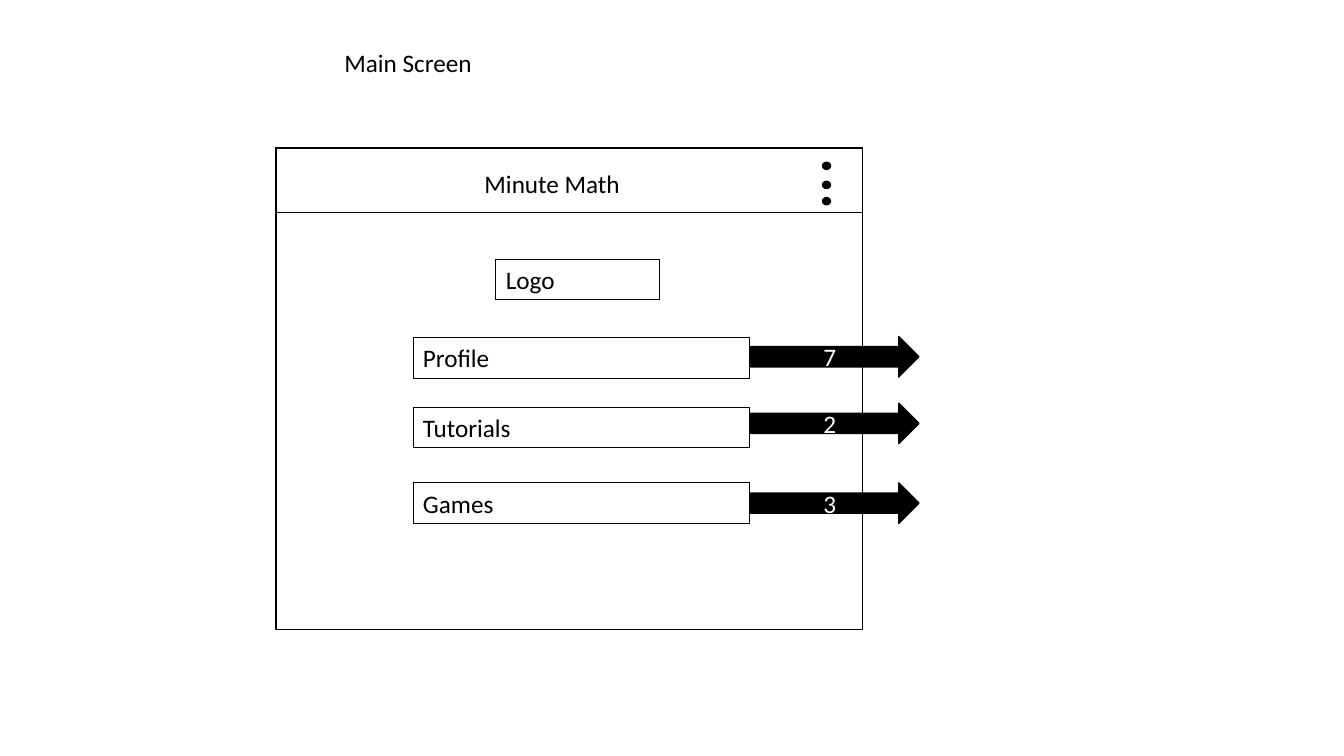
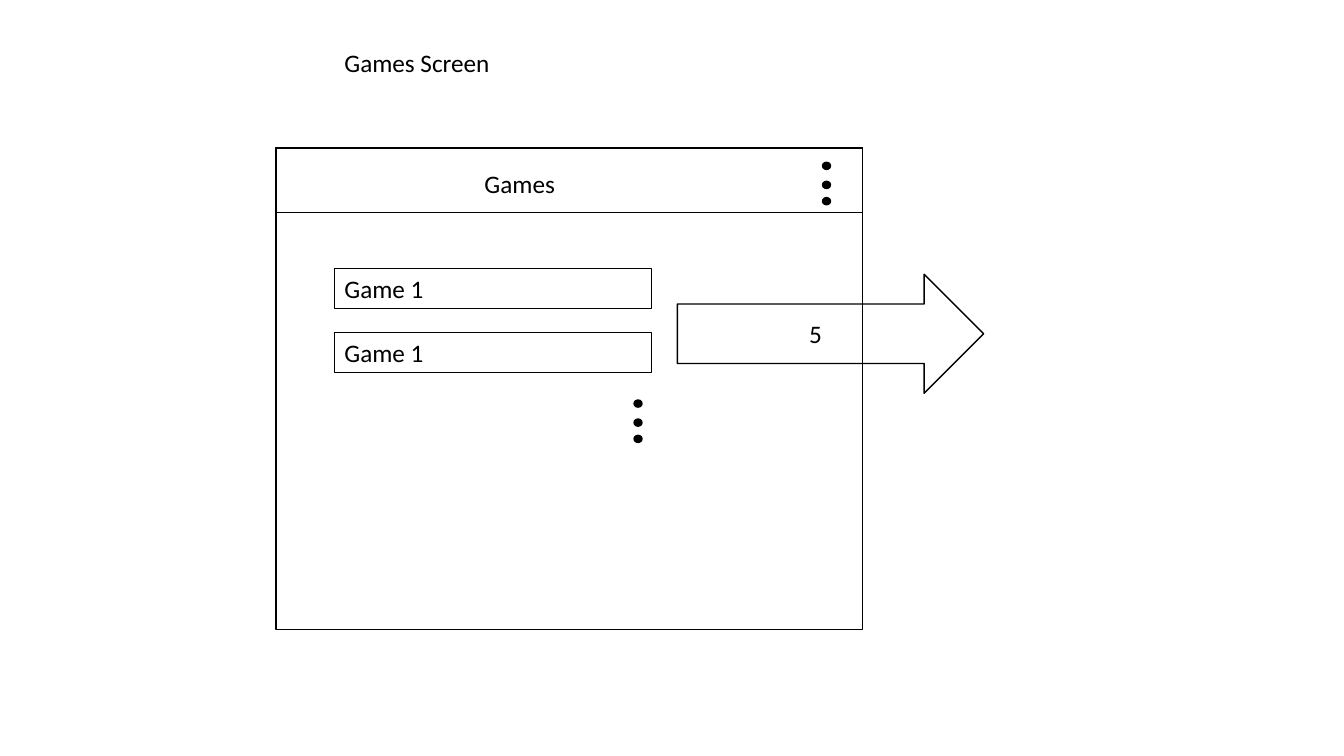
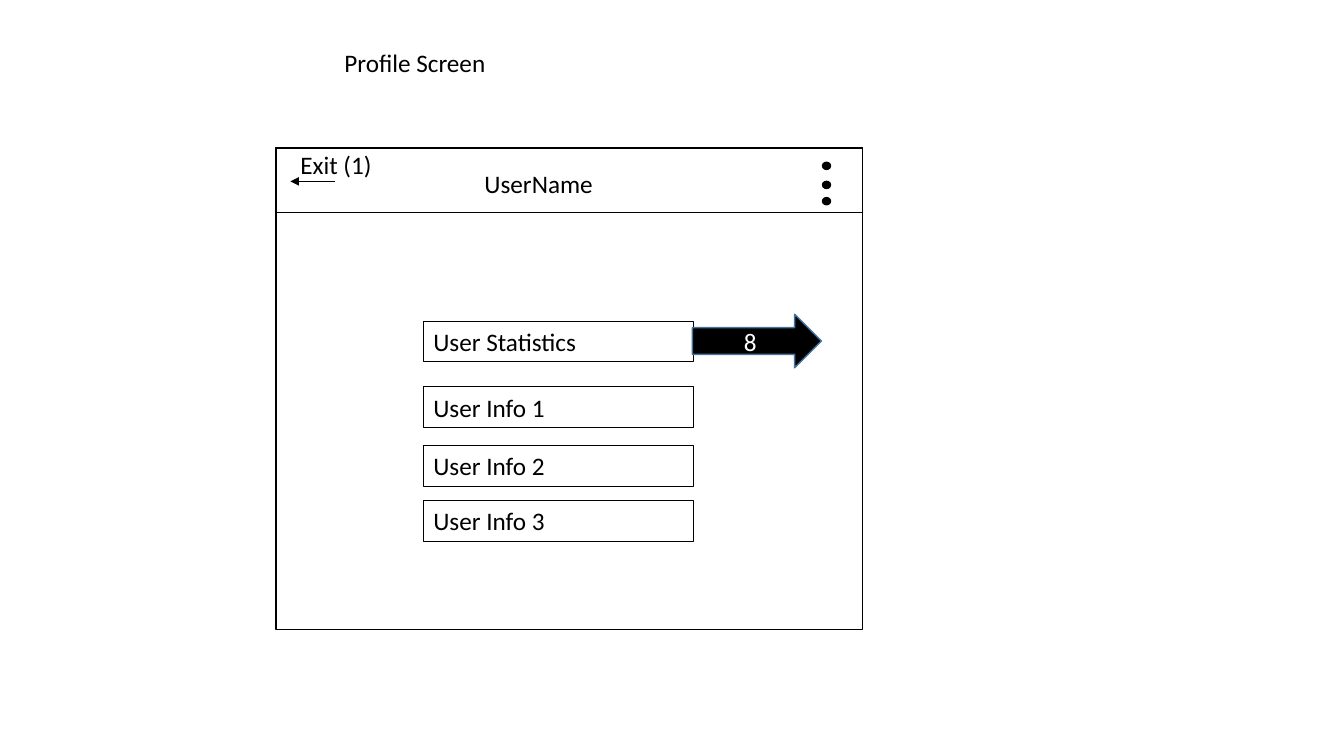
"""Builds three wireframe slides of a maths game."""
from lxml.etree import SubElement as Sub
from pptx import Presentation as Deck
from pptx.dml.color import RGBColor as Rgb
from pptx.enum.shapes import MSO_CONNECTOR as Link, MSO_SHAPE as Kind
from pptx.enum.text import MSO_ANCHOR as Anchor, MSO_AUTO_SIZE as Auto, PP_ALIGN as Align
from pptx.oxml.ns import qn
from pptx.util import Cm, Pt

INK = {"black": "000000", "white": "FFFFFF", "blue": "43739E"}
FONT = {"name": "Calibri", "size": Pt(18)}
LABEL = {"word_wrap": True, "vertical_anchor": Anchor.TOP,
         "auto_size": Auto.SHAPE_TO_FIT_TEXT}
MARK = {"word_wrap": True, "vertical_anchor": Anchor.MIDDLE}
SIZE = (33.87, 19.05)
HEAD = (8.43, 1.07, 14.3, 1.02)
PANEL = (6.96, 3.73, 14.78, 12.14)
BAR = 1.63
ROW = 1.02


def tint(name):
    """Return the colour with this name."""
    return Rgb.from_string(INK[name])


def apply(item, style):
    """Set each value of the style on the item."""
    for key, value in style.items():
        setattr(item, key, value)


def write(shape, text, style=LABEL, color="black", align=Align.LEFT):
    """Put one line of text in the shape."""
    apply(shape.text_frame, style)
    line = shape.text_frame.paragraphs[0]
    line.alignment = align
    run = line.add_run()
    run.text = text
    apply(run.font, FONT)
    run.font.color.rgb = tint(color)


def draw(slide, kind, box, fill=None, edge="black", width=1):
    """Add a preset shape in the box."""
    shape = slide.shapes.add_shape(kind, *map(Cm, box))
    shape.shadow.inherit = False
    if fill:
        shape.fill.solid()
        shape.fill.fore_color.rgb = tint(fill)
    else:
        shape.fill.background()
    shape.line.color.rgb = tint(edge)
    shape.line.width = Pt(width)
    return shape


def note(slide, box, text):
    """Add plain text in the box."""
    write(slide.shapes.add_textbox(*map(Cm, box)), text)


def field(slide, box, text, fill=None):
    """Add a thin outlined box with text."""
    write(draw(slide, Kind.RECTANGLE, box, fill, width=0.75), text)


def arrow(slide, box, text, fill="black", edge="black"):
    """Add a numbered arrow to another screen."""
    shape = draw(slide, Kind.RIGHT_ARROW, box, fill, edge)
    write(shape, text, MARK, "white" if fill else "black", Align.CENTER)


def dots(slide, left, top):
    """Add a column of three dots."""
    for down in (0, 0.48, 0.89):
        draw(slide, Kind.OVAL, (left, top + down, 0.2, 0.18), "black")


def leave(slide, left, top):
    """Add the exit label with its arrow to the left."""
    y = Cm(top + 0.94)
    line = slide.shapes.add_connector(Link.STRAIGHT, Cm(left + 1.11), y, Cm(left), y)
    line.line.color.rgb = tint("black")
    line.line.width = Pt(0.5)
    props = line.element.spPr
    Sub(props.find(qn("a:ln")), qn("a:tailEnd"), type="triangle")
    Sub(props, qn("a:effectLst"))
    note(slide, (left, top, 2.54, ROW), "Exit (1)")


def screen(deck, head, title, box):
    """Add a slide with the app window and return it."""
    slide = deck.slides.add_slide(deck.slide_layouts[6])
    left, top, wide, _ = box
    note(slide, HEAD, head)
    draw(slide, Kind.RECTANGLE, box)
    draw(slide, Kind.RECTANGLE, (left, top, wide, BAR))
    dots(slide, left + wide - 1.01, top + 0.36)
    note(slide, (left + 5, top + 0.38, 4.22, ROW), title)
    return slide


def main_page(deck, box):
    """Build the main screen."""
    slide = screen(deck, "Main Screen", "Minute Math", box)
    left, top = box[:2]
    field(slide, (left + 5.54, top + 2.8, 4.11, ROW), "Logo")
    rows = (("Profile", 4.78, "7", 4.75), ("Tutorials", 6.53, "2", 6.43),
            ("Games", 8.44, "3", 8.44))
    for text, down, mark, drop in rows:
        field(slide, (left + 3.45, top + down, 8.48, ROW), text)
        arrow(slide, (left + 11.96, top + drop, 4.24, ROW), mark)


def games_page(deck, box):
    """Build the games screen."""
    slide = screen(deck, "Games Screen", "Games", box)
    left, top = box[:2]
    for down in (3.03, 4.65):
        field(slide, (left + 1.47, top + down, 8, ROW), "Game 1")
    dots(slide, left + 9.02, top + 6.35)
    arrow(slide, (left + 10.11, top + 3.18, 7.72, 3), "5", None)


def user_page(deck, box):
    """Build the profile screen."""
    slide = screen(deck, "Profile Screen", "UserName", box)
    left, top = box[:2]
    leave(slide, left + 0.36, top - 0.1)
    rows = {"User Statistics": 4.37, "User Info 1": 6.02,
            "User Info 2": 7.5, "User Info 3": 8.89}
    for text, down in rows.items():
        field(slide, (left + 3.71, top + down, 6.81, ROW), text, "white")
    arrow(slide, (left + 10.49, top + 4.19, 3.25, 1.35), "8", edge="blue")


def main():
    """Build and save the deck."""
    deck = Deck()
    deck.slide_width, deck.slide_height = map(Cm, SIZE)
    for page in (main_page, games_page, user_page):
        page(deck, PANEL)
    deck.save("out.pptx")


if __name__ == "__main__":
    main()
